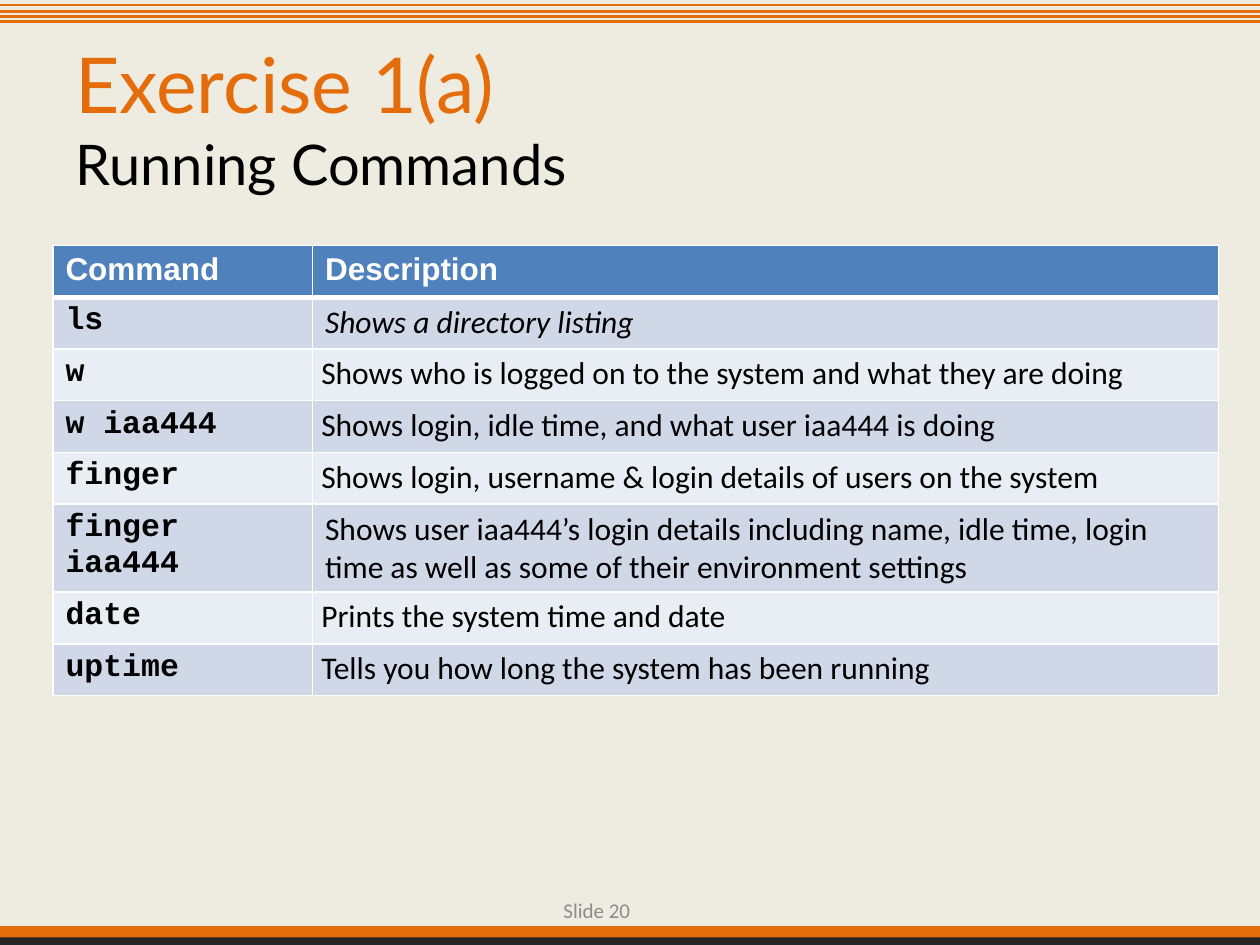
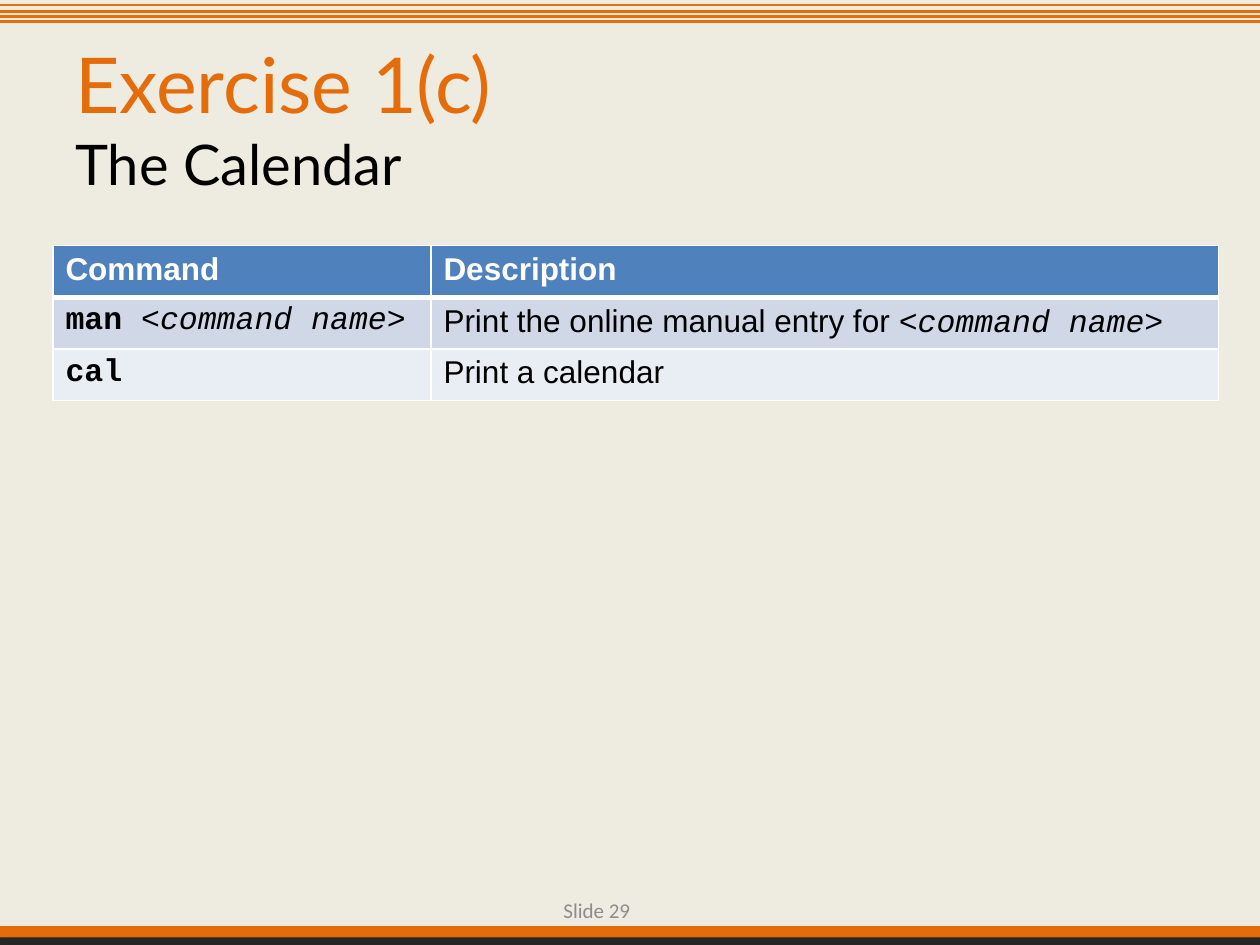
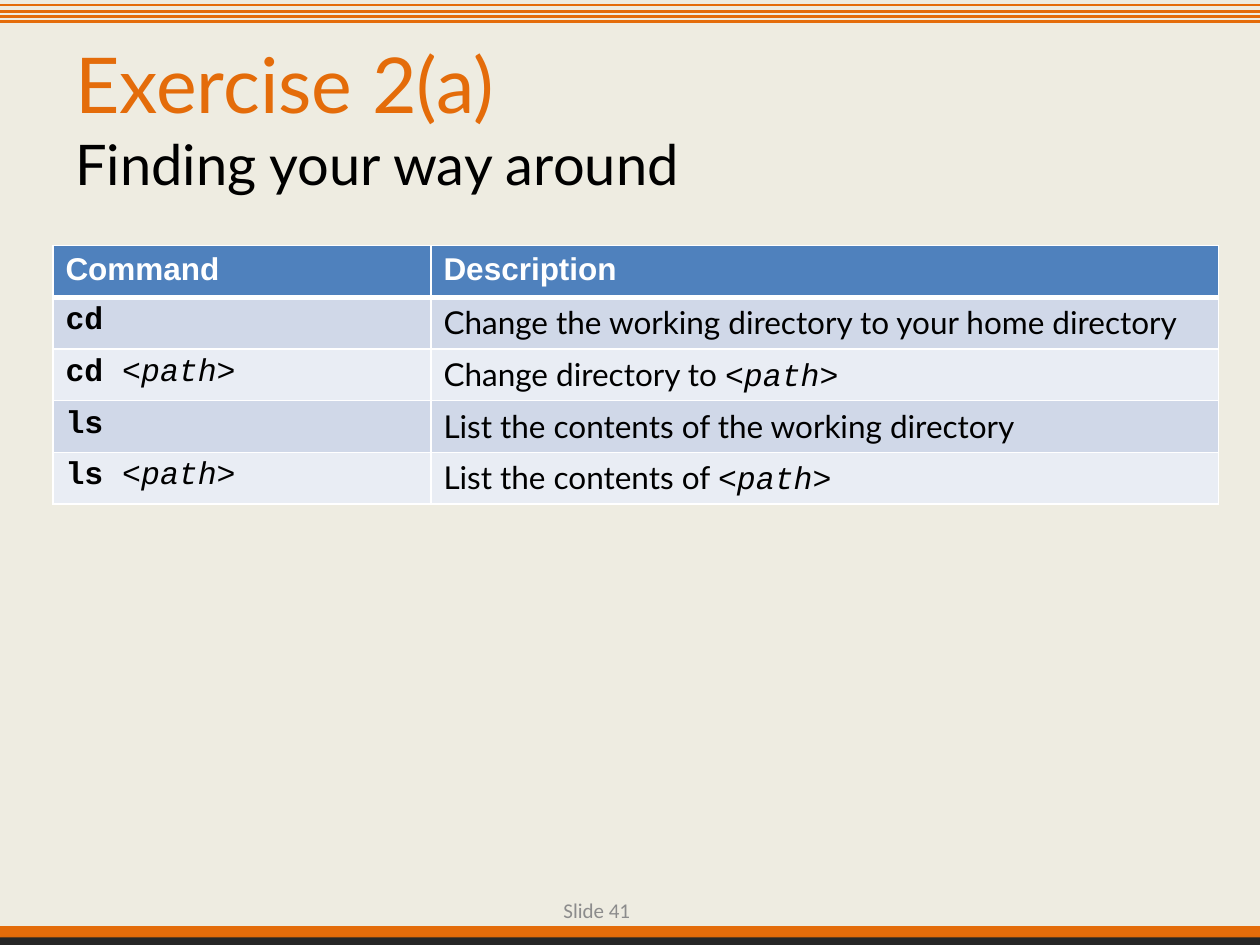
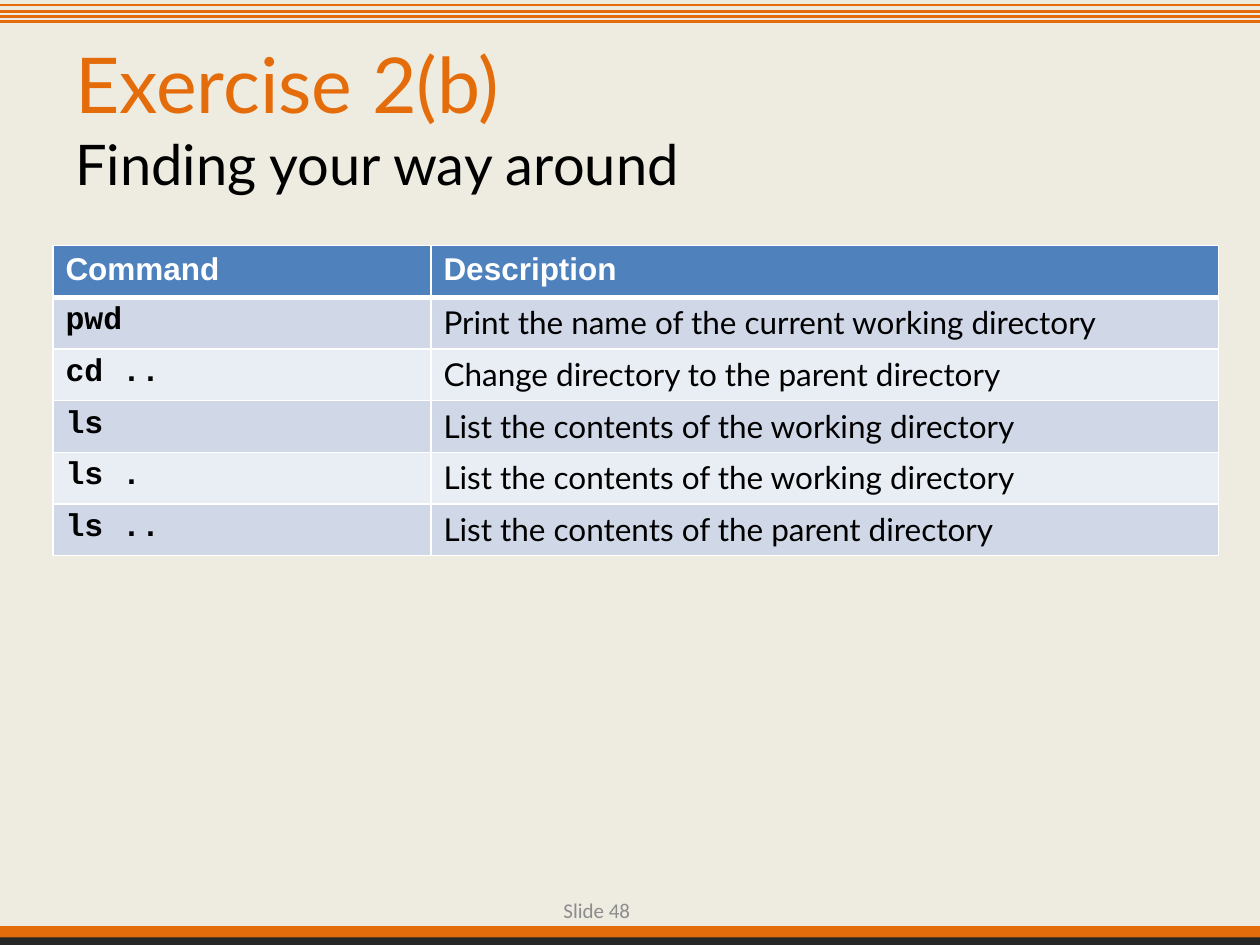
"""Builds four slides of command reference tables for shell exercises."""
from typing import NamedTuple

from lxml import etree
from pptx import Presentation
from pptx.dml.color import RGBColor
from pptx.enum import shapes, text
from pptx.oxml import ns
from pptx.util import Pt

EMU_PER_PX = 9144
COLOURS = {
    "paper": "EEECE1",
    "accent": "E46C0A",
    "base": "262626",
    "ink": "000000",
    "number": "8C8C8C",
    "header": "4F81BD",
    "odd": "D0D8E8",
    "even": "E9EDF4",
    "rule": "FFFFFF",
}
SLIDE_SIZE = (1000, 750)
STRIPE_YS = (4, 9, 13, 17)
ROW_HEIGHT = 41
TABLE_LEFT, TABLE_TOP = 42, 195
JUSTIFIED_CELL = {"margin_left": 7, "margin_right": 7, "margin_top": 0, "margin_bottom": 0}
JUSTIFIED_PARAGRAPH = {
    "alignment": text.PP_ALIGN.JUSTIFY,
    "line_spacing": 1.15,
    "space_after": Pt(10),
}


class Band(NamedTuple):
    """A full-width bar at the foot of the slide."""
    top: int
    height: int
    colour: str
    shadowed: bool = False


class Piece(NamedTuple):
    """A stretch of text in one format."""
    words: str
    font: str = "Lato"
    size: int = 18
    colour: str = "ink"
    bold: bool = False
    italic: bool = False


class Entry(NamedTuple):
    """A command and its description."""
    command: list[Piece]
    description: list[Piece]
    justified: bool = False


class Exercise(NamedTuple):
    """The content of one slide."""
    title: str
    topic: str
    number: int
    columns: tuple[int, int]
    entries: list[Entry]


BANDS = (Band(735, 16, "accent"), Band(744, 6, "base", True))


def px(length: int) -> int:
    """Turns px into EMU."""
    return length * EMU_PER_PX


def rgb(colour: str) -> RGBColor:
    """Looks up a colour."""
    return RGBColor.from_string(COLOURS[colour])


def assign(target, values: dict) -> None:
    """Sets each named attribute."""
    for name, value in values.items():
        setattr(target, name, value)


def code(words: str) -> Piece:
    """Makes a typed command."""
    return Piece(words, "Courier New", bold=True)


def argument(words: str) -> Piece:
    """Makes a stand-in for a command's argument."""
    return Piece(words, "Courier New", italic=True)


def entry(command: str, description: str, font: str = "Lato", justified: bool = False) -> Entry:
    """Makes an entry with one format on each side."""
    return Entry([code(command)], [Piece(description, font)], justified)


def write(paragraph, pieces: list[Piece]) -> None:
    """Adds the pieces to a paragraph."""
    for piece in pieces:
        run = paragraph.add_run()
        run.text = piece.words
        assign(run.font, {"name": piece.font, "size": Pt(piece.size),
                          "bold": piece.bold, "italic": piece.italic})
        run.font.color.rgb = rgb(piece.colour)


def add_shadow(shape) -> None:
    """Gives a shape a soft shadow below it."""
    effects = shape._element.spPr.find(ns.qn("a:effectLst"))
    shadow = etree.SubElement(effects, ns.qn("a:outerShdw"), blurRad="40000",
                              dist="23000", dir="5400000", rotWithShape="0")
    tint = etree.SubElement(shadow, ns.qn("a:srgbClr"), val=COLOURS["ink"])
    etree.SubElement(tint, ns.qn("a:alpha"), val="35000")


def draw_frame(slide) -> None:
    """Draws the stripes at the top and the bands at the foot."""
    width = SLIDE_SIZE[0]
    for y in STRIPE_YS:
        stripe = slide.shapes.add_connector(
            shapes.MSO_CONNECTOR.STRAIGHT, 0, px(y), px(width), px(y))
        stripe.line.color.rgb = rgb("accent")
        stripe.line.width = Pt(1.5)
        etree.SubElement(stripe._element.spPr, ns.qn("a:effectLst"))
    for band in BANDS:
        bar = slide.shapes.add_shape(
            shapes.MSO_SHAPE.RECTANGLE, 0, px(band.top), px(width), px(band.height))
        bar.fill.solid()
        bar.fill.fore_color.rgb = rgb(band.colour)
        bar.line.fill.background()
        bar.shadow.inherit = False
        if band.shadowed:
            add_shadow(bar)


def add_frame(slide, box: tuple[int, int, int, int], anchor):
    """Adds a wrapping text box and returns its text frame."""
    frame = slide.shapes.add_textbox(*map(px, box)).text_frame
    assign(frame, {"word_wrap": True, "vertical_anchor": anchor})
    return frame


def draw_title(slide, exercise: Exercise) -> None:
    """Writes the exercise name with its topic below."""
    heading = add_frame(slide, (50, 30, 900, 125), text.MSO_ANCHOR.MIDDLE).paragraphs[0]
    write(heading, [Piece(exercise.title, size=44, colour="accent")])
    heading.add_line_break()
    write(heading, [Piece(exercise.topic, size=32)])


def draw_number(slide, number: int) -> None:
    """Writes the slide number."""
    frame = add_frame(slide, (411, 692, 99, 40), text.MSO_ANCHOR.BOTTOM)
    frame.margin_bottom = 0
    label = frame.paragraphs[0]
    label.alignment = text.PP_ALIGN.RIGHT
    write(label, [Piece(f"Slide {number}", "Calibri", 12, "number")])


def fill_cell(cell, pieces: list[Piece], fill: str, top: int = 1, bottom: int = 1) -> None:
    """Writes, borders and fills a cell, with border widths in points."""
    write(cell.text_frame.paragraphs[0], pieces)
    properties = cell._tc.get_or_add_tcPr()
    for side, width in {"L": 1, "R": 1, "T": top, "B": bottom}.items():
        border = etree.SubElement(properties, ns.qn(f"a:ln{side}"), w=str(Pt(width)))
        solid = etree.SubElement(border, ns.qn("a:solidFill"))
        etree.SubElement(solid, ns.qn("a:srgbClr"), val=COLOURS["rule"])
    cell.fill.solid()
    cell.fill.fore_color.rgb = rgb(fill)


def draw_commands(slide, exercise: Exercise) -> None:
    """Draws the table of commands."""
    count = len(exercise.entries) + 1
    commands = slide.shapes.add_table(
        count, 2, px(TABLE_LEFT), px(TABLE_TOP),
        px(sum(exercise.columns)), px(count * ROW_HEIGHT)).table
    for column, width in zip(commands.columns, exercise.columns):
        column.width = px(width)
    for column, label in enumerate(("Command", "Description")):
        fill_cell(commands.cell(0, column),
                  [Piece(label, "Arial", colour="rule", bold=True)], "header", bottom=3)
    for row, item in enumerate(exercise.entries, 1):
        fill = "odd" if row % 2 else "even"
        for column, pieces in enumerate((item.command, item.description)):
            fill_cell(commands.cell(row, column), pieces, fill, top=3 if row == 1 else 1)
        if item.justified:
            cell = commands.cell(row, 1)
            assign(cell, {side: px(gap) for side, gap in JUSTIFIED_CELL.items()})
            assign(cell.text_frame.paragraphs[0], JUSTIFIED_PARAGRAPH)


EXERCISES = (
    Exercise("Exercise 1(a)", "Running Commands", 20, (206, 719), [
        Entry([code("ls")], [Piece("Shows a directory listing", "Calibri", italic=True)]),
        entry("w", "Shows who is logged on to the system and what they are doing",
              "Calibri", True),
        entry("w iaa444", "Shows login, idle time, and what user iaa444 is doing",
              "Calibri", True),
        entry("finger", "Shows login, username & login details of users on the system",
              "Calibri", True),
        entry("finger iaa444", "Shows user iaa444’s login details including name, idle time, "
              "login time as well as some of their environment settings", "Calibri"),
        entry("date", "Prints the system time and date", "Calibri", True),
        entry("uptime", "Tells you how long the system has been running", "Calibri", True),
    ]),
    Exercise("Exercise 1(c)", "The Calendar", 29, (300, 625), [
        Entry([code("man "), argument("<command name>")],
              [Piece("Print the online manual entry for ", "Arial"),
               argument("<command name>")]),
        entry("cal", "Print a calendar", "Arial"),
    ]),
    Exercise("Exercise 2(a)", "Finding your way around", 41, (300, 625), [
        entry("cd", "Change the working directory to your home directory"),
        Entry([code("cd "), argument("<path>")],
              [Piece("Change directory to "), argument("<path>")]),
        entry("ls", "List the contents of the working directory"),
        Entry([code("ls "), argument("<path>")],
              [Piece("List the contents of "), argument("<path>")]),
    ]),
    Exercise("Exercise 2(b)", "Finding your way around", 48, (300, 625), [
        entry("pwd", "Print the name of the current working directory"),
        entry("cd ..", "Change directory to the parent directory"),
        entry("ls", "List the contents of the working directory"),
        entry("ls .", "List the contents of the working directory"),
        entry("ls ..", "List the contents of the parent directory"),
    ]),
)


def main() -> None:
    """Builds and saves the slides."""
    deck = Presentation()
    deck.slide_width, deck.slide_height = map(px, SLIDE_SIZE)
    paper = deck.slide_master.background.fill
    paper.solid()
    paper.fore_color.rgb = rgb("paper")
    for exercise in EXERCISES:
        slide = deck.slides.add_slide(deck.slide_layouts[6])
        draw_frame(slide)
        draw_title(slide, exercise)
        draw_commands(slide, exercise)
        draw_number(slide, exercise.number)
    deck.save("out.pptx")


if __name__ == "__main__":
    main()
